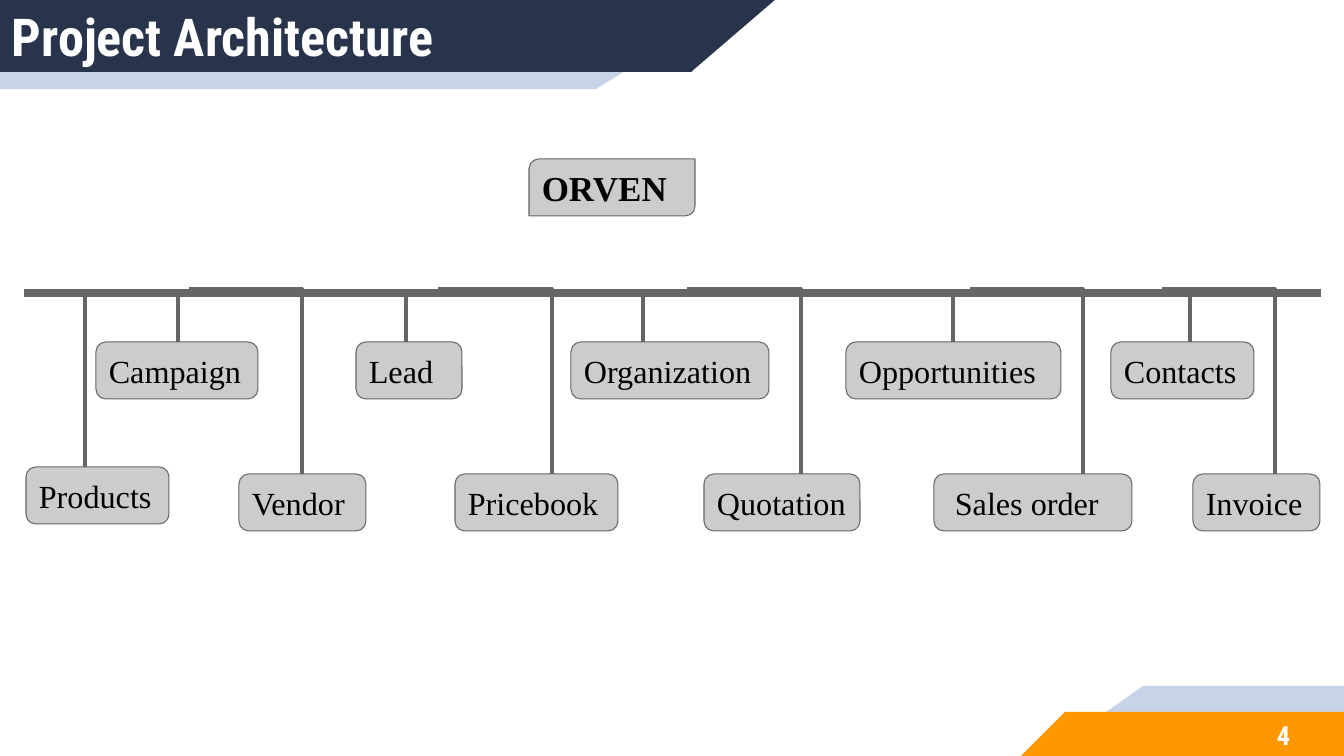
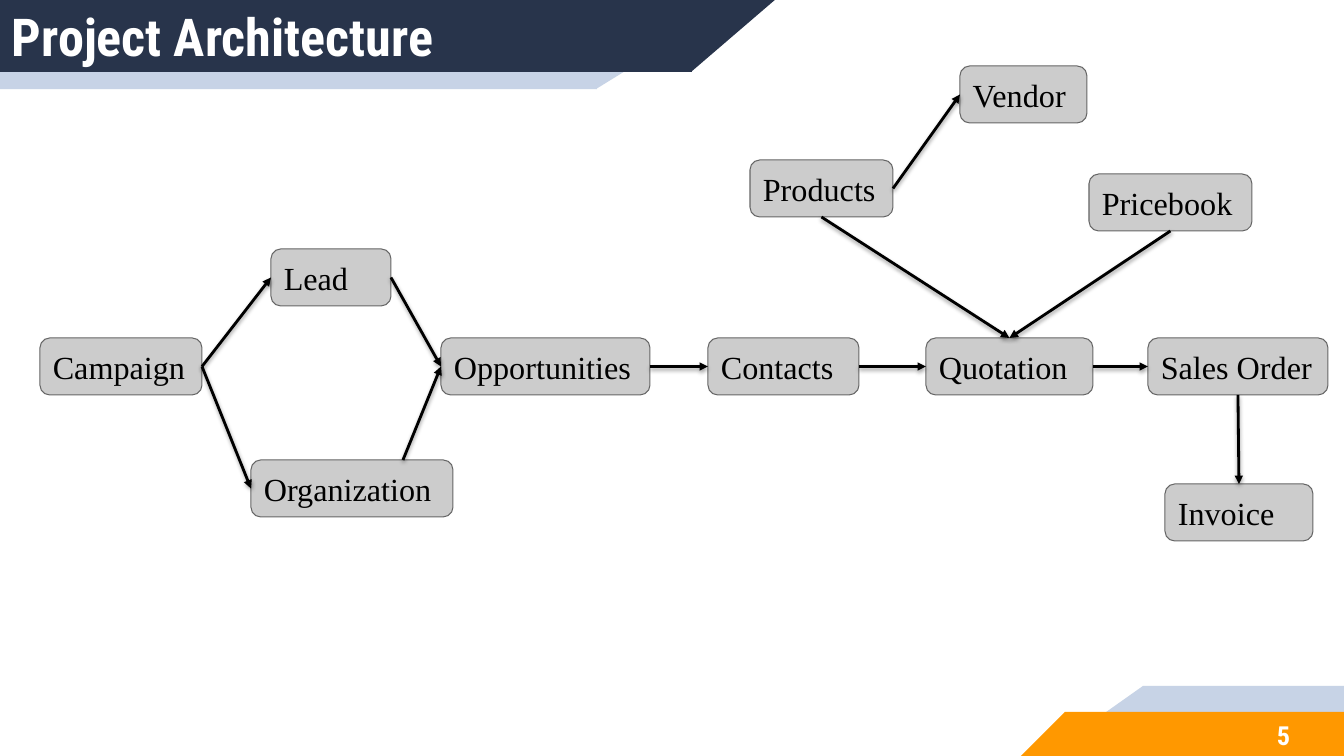
from dataclasses import dataclass
from enum import IntEnum

from lxml.etree import SubElement
from pptx import Presentation
from pptx.dml.color import RGBColor
from pptx.enum.shapes import MSO_CONNECTOR as Connector, MSO_SHAPE as Preset
from pptx.enum.text import MSO_ANCHOR as Anchor, PP_ALIGN as Align
from pptx.oxml.ns import qn
from pptx.util import Emu, Pt

SLIDE_WIDTH, SLIDE_HEIGHT = 1344, 756
EMU_PER_PX = 12192000 / SLIDE_WIDTH
NODE_HEIGHT = 57
SPINE_Y = 293
UPPER_ROW, LOWER_ROW = 342, 474
UPPER_RAIL, LOWER_RAIL = 291, 289
FLOW_ROW = 338


@dataclass(frozen=True)
class Theme:
    navy: str = "28344B"
    pale_blue: str = "C7D3E6"
    orange: str = "FF9800"
    white: str = "FFFFFF"
    black: str = "000000"
    node_fill: str = "CCCCCC"
    grey: str = "666666"
    heading_font: str = "Roboto Condensed"
    node_font: str = "Times New Roman"
    title_size: float = 37.3
    number_size: float = 18.7
    root_size: float = 25
    node_size: float = 23
    border: float = 0.75
    arrow: float = 2
    drop: float = 2.25
    spine: float = 6


THEME = Theme()


class Side(IntEnum):
    TOP = 0
    LEFT = 1
    BOTTOM = 2
    RIGHT = 3


@dataclass(frozen=True)
class Band:
    color: str
    bar_left: int
    bar_width: int
    tip_left: int
    tip_width: int
    top: int
    height: int
    rotation: int = 0


@dataclass(frozen=True)
class TextStyle:
    font: str
    size: float
    color: str
    bold: bool = False
    align: Align = Align.LEFT
    insets: tuple = (10, 10, 10, 10)


@dataclass(frozen=True)
class Node:
    text: str
    left: int
    top: int
    width: int

    def anchor(self, side: Side) -> tuple:
        middle_x = self.left + self.width // 2
        middle_y = self.top + NODE_HEIGHT // 2
        return {
            Side.TOP: (middle_x, self.top),
            Side.LEFT: (self.left, middle_y),
            Side.BOTTOM: (middle_x, self.top + NODE_HEIGHT),
            Side.RIGHT: (self.left + self.width, middle_y),
        }[side]


@dataclass(frozen=True)
class Module:
    node: Node
    rail_x: int
    drop_x: int
    rail_y: int


@dataclass(frozen=True)
class Link:
    source: str
    leaves: Side
    target: str
    enters: Side
    shift: int = 0


TITLE = TextStyle(THEME.heading_font, THEME.title_size, THEME.white, True, insets=(12, 0, 0, 0))
NUMBER = TextStyle(THEME.heading_font, THEME.number_size, THEME.white, True, Align.CENTER)
ROOT_TEXT = TextStyle(THEME.node_font, THEME.root_size, THEME.black, True)
NODE_TEXT = TextStyle(THEME.node_font, THEME.node_size, THEME.black)

BANDS = (
    Band(THEME.pale_blue, 0, 597, 596, 146, -1, 90, 180),
    Band(THEME.navy, 0, 692, 691, 85, -1, 73, 180),
    Band(THEME.pale_blue, 1143, 201, 1044, 99, 686, 70),
    Band(THEME.orange, 1065, 279, 1021, 44, 712, 44),
)

ROOT = Node("ORVEN", 529, 159, 166)
MODULES = (
    Module(Node("Campaign", 96, UPPER_ROW, 162), 74, 178, UPPER_RAIL),
    Module(Node("Lead", 356, UPPER_ROW, 106), 169, 406, UPPER_RAIL),
    Module(Node("Organization", 571, UPPER_ROW, 198), 406, 643, UPPER_RAIL),
    Module(Node("Opportunities", 846, UPPER_ROW, 215), 643, 953, UPPER_RAIL),
    Module(Node("Contacts", 1111, UPPER_ROW, 143), 953, 1190, UPPER_RAIL),
    Module(Node("Products", 26, 467, 143), 27, 85, UPPER_RAIL),
    Module(Node("Vendor", 239, LOWER_ROW, 127), 189, 302, LOWER_RAIL),
    Module(Node("Pricebook", 455, LOWER_ROW, 163), 438, 552, LOWER_RAIL),
    Module(Node("Quotation", 704, LOWER_ROW, 156), 687, 801, LOWER_RAIL),
    Module(Node(" Sales order", 934, LOWER_ROW, 198), 970, 1083, LOWER_RAIL),
    Module(Node("Invoice", 1193, LOWER_ROW, 127), 1162, 1275, LOWER_RAIL),
)

FLOW = (
    Node("Campaign", 40, FLOW_ROW, 162),
    Node("Lead", 271, 249, 120),
    Node("Organization", 251, 460, 202),
    Node("Opportunities", 441, FLOW_ROW, 209),
    Node("Contacts", 708, FLOW_ROW, 151),
    Node("Quotation", 926, FLOW_ROW, 167),
    Node("Sales Order", 1148, FLOW_ROW, 180),
    Node("Invoice", 1165, 484, 148),
    Node("Products", 750, 160, 143),
    Node("Vendor", 960, 66, 127),
    Node("Pricebook", 1089, 174, 163),
)
LINKS = (
    Link("Campaign", Side.RIGHT, "Lead", Side.LEFT),
    Link("Campaign", Side.RIGHT, "Organization", Side.LEFT),
    Link("Lead", Side.RIGHT, "Opportunities", Side.LEFT),
    Link("Organization", Side.TOP, "Opportunities", Side.LEFT, 51),
    Link("Opportunities", Side.RIGHT, "Contacts", Side.LEFT),
    Link("Contacts", Side.RIGHT, "Quotation", Side.LEFT),
    Link("Quotation", Side.RIGHT, "Sales Order", Side.LEFT),
    Link("Products", Side.BOTTOM, "Quotation", Side.TOP),
    Link("Pricebook", Side.BOTTOM, "Quotation", Side.TOP),
    Link("Sales Order", Side.BOTTOM, "Invoice", Side.TOP),
    Link("Products", Side.RIGHT, "Vendor", Side.LEFT),
)


def px(length: int) -> Emu:
    return Emu(round(length * EMU_PER_PX))


def rgb(color: str) -> RGBColor:
    return RGBColor.from_string(color)


def write(shape, text: str, style: TextStyle) -> None:
    frame = shape.text_frame
    frame.word_wrap = True
    frame.vertical_anchor = Anchor.MIDDLE
    (frame.margin_left, frame.margin_top,
     frame.margin_right, frame.margin_bottom) = map(px, style.insets)
    paragraph = frame.paragraphs[0]
    paragraph.alignment = style.align
    run = paragraph.add_run()
    run.text = text
    run.font.name = style.font
    run.font.size = Pt(style.size)
    run.font.bold = style.bold
    run.font.color.rgb = rgb(style.color)


def add_filled(slide, preset: Preset, box: tuple, color: str):
    shape = slide.shapes.add_shape(preset, *map(px, box))
    shape.shadow.inherit = False
    shape.fill.solid()
    shape.fill.fore_color.rgb = rgb(color)
    return shape


def add_band(slide, band: Band) -> None:
    parts = (
        (Preset.RECTANGLE, band.bar_left, band.bar_width),
        (Preset.RIGHT_TRIANGLE, band.tip_left, band.tip_width),
    )
    for preset, left, width in parts:
        shape = add_filled(slide, preset, (left, band.top, width, band.height), band.color)
        shape.line.fill.background()
        shape.rotation = band.rotation
        shape._element.spPr.find(qn("a:xfrm")).set("flipH", "1")


def add_text(slide, text: str, box: tuple, style: TextStyle) -> None:
    write(slide.shapes.add_textbox(*map(px, box)), text, style)


def add_node(slide, node: Node, style: TextStyle = NODE_TEXT,
             preset: Preset = Preset.ROUNDED_RECTANGLE):
    box = (node.left, node.top, node.width, NODE_HEIGHT)
    shape = add_filled(slide, preset, box, THEME.node_fill)
    shape.adjustments[0] = 0.17
    shape.line.color.rgb = rgb(THEME.grey)
    shape.line.width = Pt(THEME.border)
    write(shape, node.text, style)
    return shape


def add_line(slide, start: tuple, end: tuple, color: str, width: float,
             kind: Connector = Connector.STRAIGHT):
    line = slide.shapes.add_connector(kind, *map(px, start + end))
    line.line.color.rgb = rgb(color)
    line.line.width = Pt(width)
    SubElement(line._element.spPr, qn("a:effectLst"))
    return line


def add_drop(slide, module: Module) -> None:
    drop = add_line(slide, (module.rail_x, module.rail_y), (module.drop_x, module.node.top),
                    THEME.grey, THEME.drop, Connector.ELBOW)
    guides = drop._element.spPr.find(qn("a:prstGeom")).find(qn("a:avLst"))
    SubElement(guides, qn("a:gd"), name="adj1", fmla="val 100000")


def add_arrow(slide, link: Link, nodes: dict, shapes: dict) -> None:
    start_x, start_y = nodes[link.source].anchor(link.leaves)
    end = nodes[link.target].anchor(link.enters)
    arrow = add_line(slide, (start_x + link.shift, start_y), end, THEME.black, THEME.arrow)
    if not link.shift:
        arrow.begin_connect(shapes[link.source], link.leaves)
    arrow.end_connect(shapes[link.target], link.enters)
    properties = arrow._element.spPr
    SubElement(properties.find(qn("a:ln")), qn("a:tailEnd"), type="triangle")
    shadow = SubElement(properties.find(qn("a:effectLst")), qn("a:outerShdw"),
                        blurRad=str(Pt(3.1)), dist=str(Pt(1.6)), dir="5400000", rotWithShape="0")
    color = SubElement(shadow, qn("a:srgbClr"), val=THEME.black)
    SubElement(color, qn("a:alpha"), val="38000")


def add_base_slide(presentation, title: str, number: int):
    slide = presentation.slides.add_slide(presentation.slide_layouts[6])
    for band in BANDS:
        add_band(slide, band)
    add_text(slide, title, (0, 4, 742, 64), TITLE)
    add_text(slide, str(number), (1239, 713, 89, 45), NUMBER)
    return slide


def draw_modules(slide) -> None:
    for module in MODULES:
        add_node(slide, module.node)
    root = add_node(slide, ROOT, ROOT_TEXT, Preset.ROUND_2_DIAG_RECTANGLE)
    root.adjustments[1] = 0
    for module in MODULES:
        add_drop(slide, module)
    add_line(slide, (24, SPINE_Y), (1321, SPINE_Y), THEME.grey, THEME.spine)


def draw_flow(slide) -> None:
    nodes = {node.text: node for node in FLOW}
    shapes = {node.text: add_node(slide, node) for node in FLOW}
    for link in LINKS:
        add_arrow(slide, link, nodes, shapes)


def main() -> None:
    presentation = Presentation()
    presentation.slide_width = px(SLIDE_WIDTH)
    presentation.slide_height = px(SLIDE_HEIGHT)
    for number, draw in enumerate((draw_modules, draw_flow), start=4):
        draw(add_base_slide(presentation, "Project Architecture", number))
    presentation.save("out.pptx")


if __name__ == "__main__":
    main()
